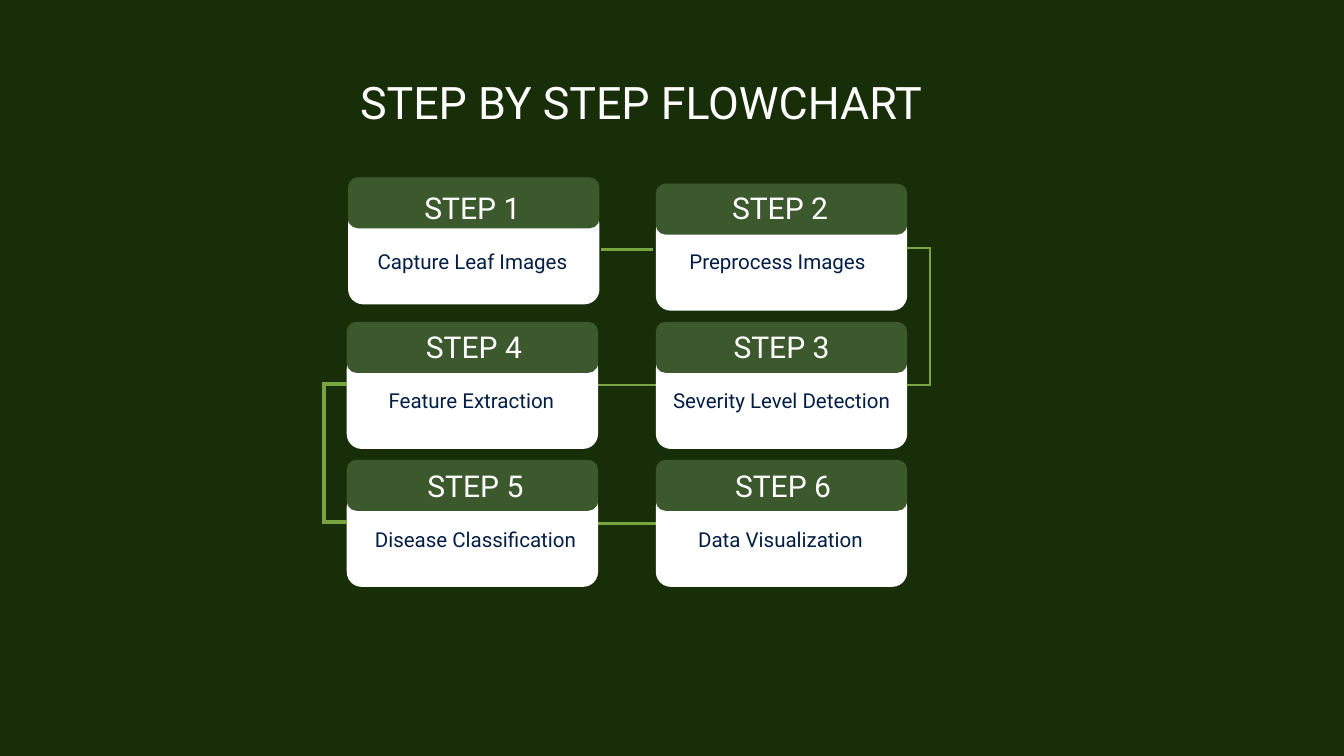
import pptx
import pptx.util
import pptx.dml.color
import pptx.enum.shapes
import pptx.enum.text
import pptx.oxml.ns
import lxml.etree

Pt = pptx.util.Pt
SHAPE = pptx.enum.shapes.MSO_SHAPE.ROUNDED_RECTANGLE
LINE = pptx.enum.shapes.MSO_CONNECTOR.STRAIGHT
HUES = {"back": "172E08", "head": "3C592E", "line": "79A541",
        "white": "FFFFFF", "ink": "021E45"}
STYLES = {
    "title": {"size": 48, "lead": 48, "hue": "white"},
    "step": {"size": 32.2, "lead": 32.2, "hue": "white"},
    "body": {"size": 22, "lead": 26.4, "hue": "ink"},
}
STEPS = [
    (1, "Capture Leaf Images", 0, 0),
    (2, "Preprocess Images ", 1, 0),
    (3, "Severity Level Detection", 1, 1),
    (4, "Feature Extraction ", 0, 1),
    (5, "Disease Classification", 0, 2),
    (6, "Data Visualization ", 1, 2),
]
LEFTS = [371.5, 702.7]
TOPS = [196.8, 344.9, 492.7]
FIRST = (373, 190)
WIDE = 269.3
PITCH = 148.8


def rgb(name):
    """Return the named colour."""
    return pptx.dml.color.RGBColor.from_string(HUES[name])


def write(slide, box, text, style):
    """Add one centred line of text in the given box."""
    form = STYLES[style]
    frame = slide.shapes.add_textbox(*map(Pt, box)).text_frame
    modes = {"margin_left": 0, "margin_right": 0, "margin_top": 0,
             "margin_bottom": 0, "word_wrap": True,
             "auto_size": pptx.enum.text.MSO_AUTO_SIZE.SHAPE_TO_FIT_TEXT}
    for key, value in modes.items():
        setattr(frame, key, value)
    para = frame.paragraphs[0]
    para.alignment = pptx.enum.text.PP_ALIGN.CENTER
    para.line_spacing = Pt(form["lead"])
    run = para.add_run()
    run.text = text
    for key, value in {"name": "Roboto", "size": Pt(form["size"])}.items():
        setattr(run.font, key, value)
    run.font.color.rgb = rgb(form["hue"])


def plate(slide, box, hue, curve):
    """Add a plain rounded plate with the given corner radius."""
    shape = slide.shapes.add_shape(SHAPE, *map(Pt, box))
    shape.adjustments[0] = curve / box[3]
    shape.shadow.inherit = False
    shape.fill.solid()
    shape.fill.fore_color.rgb = rgb(hue)
    shape.line.fill.background()


def card(slide, spot, label, step, text):
    """Add a step card at spot, with its wording starting at label."""
    left, top = spot
    plate(slide, (left, top + 34.8, WIDE, 101.3), "white", 16)
    plate(slide, (left, top, WIDE, 54.6), "head", 10.4)
    left, top = label
    write(slide, (left, top, 230.4, 32.4), f"STEP {step}", "step")
    write(slide, (left - 1.5, top + 57.8, 233.3, 26), text, "body")


def link(slide, start, end, width=3):
    """Draw a straight line between two points."""
    line = slide.shapes.add_connector(LINE, *map(Pt, start + end))
    line.line.color.rgb = rgb("line")
    line.line.width = Pt(width)
    lxml.etree.SubElement(line._element.spPr,
                          pptx.oxml.ns.qn("a:effectLst"))


def hook(slide, edge, tip, top, foot, width):
    """Join two rows with a bracket that reaches from edge out to tip."""
    half = width / 2
    over = half if tip > edge else -half
    for y in (top, foot):
        link(slide, (edge, y), (tip + over, y), width)
    link(slide, (tip, top - half), (tip, foot + half), width)


def chart(slide):
    """Place the lines and the six step cards."""
    for y in (412.6, 560.9):
        link(slide, (639.4, y), (LEFTS[1], y))
    for step, text, col, row in STEPS:
        spot = FIRST if step == 1 else (LEFTS[col], TOPS[row])
        label = (391 + 329.6 * col + 1.6 * row, 209.4 + PITCH * row)
        card(slide, spot, label, step, text)
    hook(slide, 972, 996.5, 265.7, 412.6, 3)
    hook(slide, LEFTS[0], 347, 411.1, 559.4, 4)
    link(slide, (644.4, 267.1), (699.8, 267.1))


def main():
    """Build and save the slide."""
    deck = pptx.Presentation()
    deck.slide_width, deck.slide_height = Pt(1440), Pt(810)
    slide = deck.slides.add_slide(deck.slide_layouts[6])
    slide.background.fill.solid()
    slide.background.fill.fore_color.rgb = rgb("back")
    chart(slide)
    write(slide, (321, 89.3, 732.2, 50.4), "STEP BY STEP FLOWCHART", "title")
    deck.save("out.pptx")


if __name__ == "__main__":
    main()
